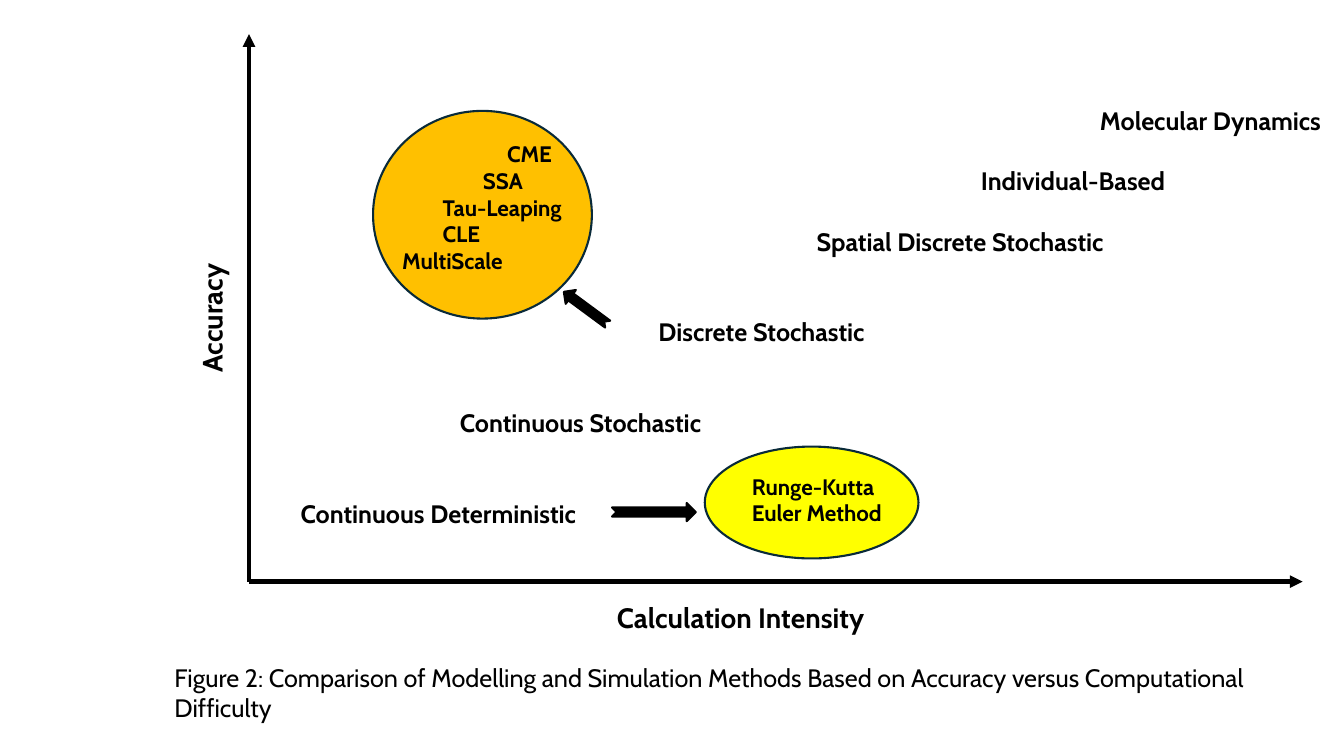
from dataclasses import dataclass
from lxml.etree import SubElement
from pptx import Presentation
from pptx.dml.color import RGBColor as RGB
from pptx.enum.shapes import MSO_CONNECTOR, MSO_SHAPE as SHAPE
from pptx.enum.text import MSO_ANCHOR, MSO_AUTO_SIZE, PP_ALIGN
from pptx.oxml.ns import qn
from pptx.util import Inches, Pt

WIDTH, HEIGHT = Inches(13.33), Inches(7.5)


@dataclass(frozen=True)
class Theme:
    font: str = "Cabin"
    ink: str = "000000"
    outline: str = "092A39"
    discrete: str = "FFC000"
    deterministic: str = "FFFF00"
    axis_size: int = 20
    label_size: int = 18
    example_size: int = 16
    axis_line: float = 3
    shape_line: float = 1.5
    leading: float = 1.2


THEME = Theme()

METHODS = [
    ("Molecular Dynamics", 60.31, 0),
    ("Individual-Based", 51.46, 1),
    ("Spatial Discrete Stochastic", 39.23, 1),
    ("Discrete Stochastic", 27.46, 2),
    ("Continuous Stochastic", 12.68, 2),
    ("Continuous Deterministic", 0.83, 2),
]
DISCRETE_EXAMPLES = [
    ("CME", 10.43, 0),
    ("SSA", 8.63, 0),
    ("Tau-Leaping", 5.63, 0),
    ("CLE", 5.63, 0),
    ("MultiScale", 2.63, 0),
]
DETERMINISTIC_EXAMPLES = [("Runge-Kutta", 0, 0), ("Euler Method", 0, 0)]
CAPTION = ("Figure 2: Comparison of Modelling and Simulation Methods "
           "Based on Accuracy versus Computational Difficulty")


def across(share):
    return int(WIDTH * share / 100)


def down(share):
    return int(HEIGHT * share / 100)


def box(x, y, w, h):
    return across(x), down(y), across(w), down(h)


def place(sp, area):
    sp.left, sp.top, sp.width, sp.height = box(*area)
    return sp


def write(p, text, size=THEME.label_size, bold=True, indent=0, gap=0):
    p.alignment = PP_ALIGN.LEFT
    p.line_spacing = 1.0
    p.space_before = Pt(gap * size * THEME.leading)
    p.space_after = Pt(0)
    pPr = p._p.get_or_add_pPr()
    pPr.set("marL", str(across(indent)))
    pPr.set("indent", "0")
    SubElement(pPr, qn("a:buNone"))
    r = p.add_run()
    r.text = text
    r.font.name = THEME.font
    r.font.size = Pt(size)
    r.font.bold = bold
    r.font.color.rgb = RGB.from_string(THEME.ink)


def fill_lines(sp, lines, **style):
    tf = sp.text_frame
    tf.word_wrap = True
    tf.auto_size = MSO_AUTO_SIZE.NONE
    tf.vertical_anchor = MSO_ANCHOR.TOP
    for i, (text, indent, gap) in enumerate(lines):
        p = tf.add_paragraph() if i else tf.paragraphs[0]
        write(p, text, indent=indent, gap=gap, **style)


def add_text(s, area, lines, rotation=0, **style):
    sp = s.shapes.add_textbox(*box(*area))
    sp.rotation = rotation
    fill_lines(sp, lines, **style)


def add_figure(s, kind, area, fill, line, rotation=0):
    sp = s.shapes.add_shape(kind, *box(*area))
    sp.shadow.inherit = False
    sp.rotation = rotation
    sp.fill.solid()
    sp.fill.fore_color.rgb = RGB.from_string(fill)
    sp.line.color.rgb = RGB.from_string(line)
    sp.line.width = Pt(THEME.shape_line)


def add_axis(s, x, y):
    axis = s.shapes.add_connector(
        MSO_CONNECTOR.STRAIGHT, across(18.53), down(76.93), across(x), down(y))
    axis.line.color.rgb = RGB.from_string(THEME.ink)
    axis.line.width = Pt(THEME.axis_line)
    SubElement(axis.line._get_or_add_ln(), qn("a:tailEnd"), type="triangle")
    SubElement(axis._element.spPr, qn("a:effectLst"))


def main():
    prs = Presentation()
    prs.slide_width, prs.slide_height = WIDTH, HEIGHT
    s = prs.slides.add_slide(prs.slide_layouts[1])

    add_figure(s, SHAPE.FLOWCHART_CONNECTOR, (27.76, 14.67, 16.28, 27.47),
               THEME.discrete, THEME.outline)
    add_figure(s, SHAPE.OVAL, (52.44, 59.07, 15.9, 14.8),
               THEME.deterministic, THEME.outline)
    add_figure(s, SHAPE.NOTCHED_RIGHT_ARROW, (45.54, 66.53, 6.23, 2.4),
               THEME.ink, THEME.ink)
    add_figure(s, SHAPE.NOTCHED_RIGHT_ARROW, (41.56, 39.6, 4.05, 2.27),
               THEME.ink, THEME.ink, rotation=216.4)

    add_axis(s, 18.53, 4.53)
    add_axis(s, 96.92, 76.93)
    add_text(s, (3.53, 25.87, 24.46, 5.87), [("Accuracy", 0, 0)],
             rotation=270, size=THEME.axis_size)
    add_text(s, (45.16, 78.8, 30.46, 5.87), [("Calculation Intensity", 0, 0)],
             size=THEME.axis_size)

    add_text(s, (26.56, 17.87, 30.91, 19.33), DISCRETE_EXAMPLES,
             size=THEME.example_size)
    add_text(s, (55.21, 61.87, 13.88, 8.53), DETERMINISTIC_EXAMPLES,
             size=THEME.example_size)

    body = place(s.placeholders[1], (20.78, 13.2, 79.22, 57.87))
    fill_lines(body, METHODS)
    title = place(s.shapes.title, (12.23, 86.93, 82.3, 9.47))
    fill_lines(title, [(CAPTION, 0, 0)], bold=False)

    prs.save("out.pptx")


if __name__ == "__main__":
    main()
